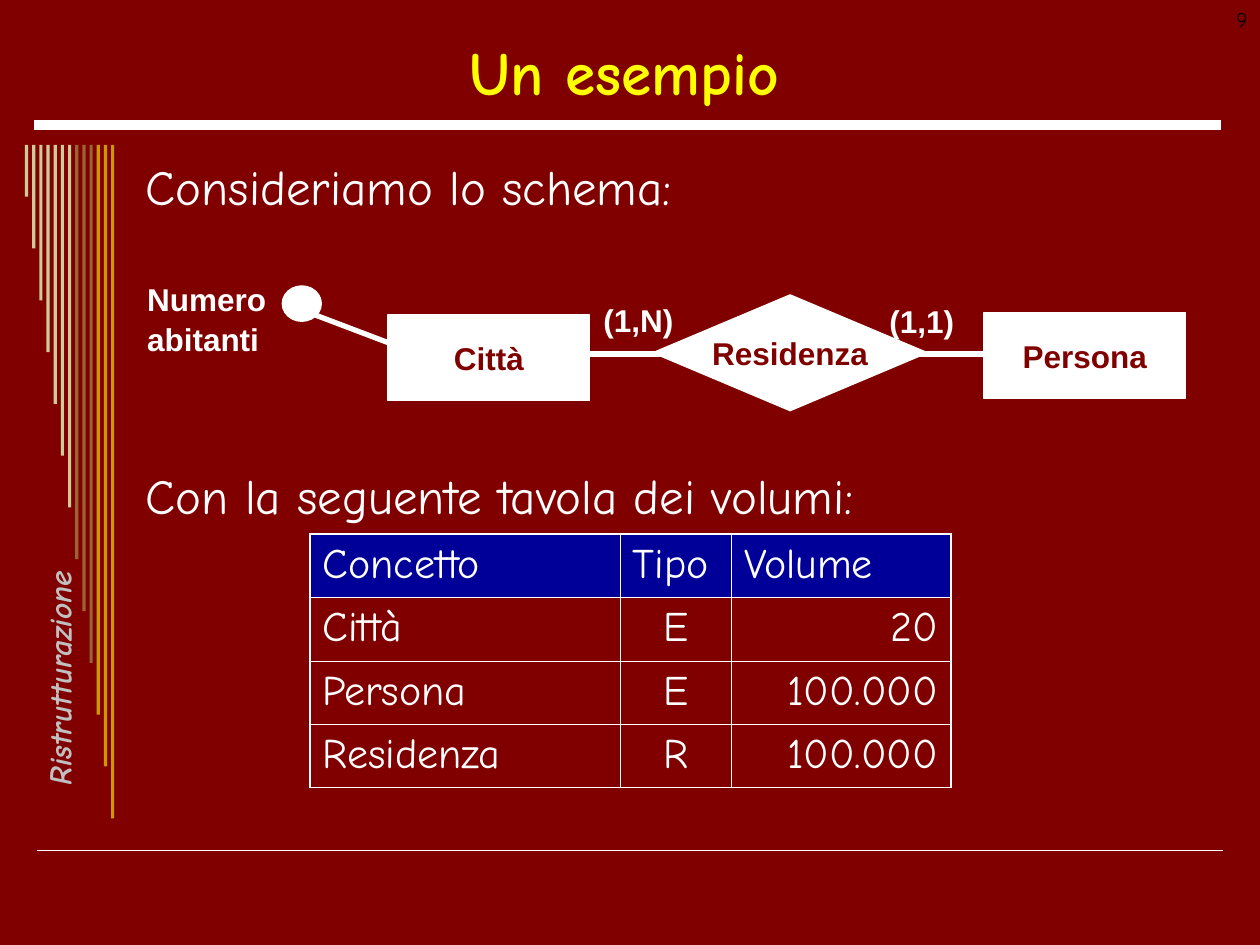
"""Build the slide on restructuring an entity-relationship schema."""
import dataclasses

import lxml.etree
import pptx
import pptx.dml.color
import pptx.enum.shapes
import pptx.enum.text
import pptx.oxml.ns
import pptx.slide
import pptx.util

Pt = pptx.util.Pt
RGB = pptx.dml.color.RGBColor
Kind = pptx.enum.shapes.MSO_SHAPE
Align = pptx.enum.text.PP_ALIGN
Anchor = pptx.enum.text.MSO_ANCHOR
qn = pptx.oxml.ns.qn

MAROON = RGB(0x80, 0x00, 0x00)
WHITE = RGB(0xFF, 0xFF, 0xFF)
YELLOW = RGB(0xFF, 0xFF, 0x00)
BLACK = RGB(0x00, 0x00, 0x00)
SILVER = RGB(0xC0, 0xC0, 0xC0)
NAVY = RGB(0x00, 0x00, 0x99)
SAND = RGB(0xCC, 0xCC, 0x99)
BROWN = RGB(0x99, 0x66, 0x33)
GOLD = RGB(0xCC, 0x99, 0x00)
COMIC = "Comic Neue"
ARIAL = "Arial"


@dataclasses.dataclass(frozen=True)
class Label:
    text: str
    left: float
    top: float
    width: float
    height: float
    size: float
    font: str = COMIC
    color: RGB = WHITE
    bold: bool = False
    slant: bool = False
    align: Align = Align.LEFT
    anchor: Anchor = Anchor.TOP
    turn: float = 0
    lead: float = 1


@dataclasses.dataclass(frozen=True)
class Node:
    kind: Kind
    left: float
    top: float
    width: float
    height: float
    text: str = ""


@dataclasses.dataclass(frozen=True)
class Line:
    start: tuple[float, float]
    end: tuple[float, float]
    weight: float


RULES = [Line((20.9, 486), (699.1, 486), 1), Line((19.4, 71.3), (697.7, 71.3), 6)]
LINKS = [Line((335.5, 202.3), (572.4, 202.3), 3), Line((176.4, 178.6), (229.7, 198.8), 3)]
BARS = [SAND] * 7 + [BROWN] * 3 + [GOLD] * 3
NODES = [
    Node(Kind.RECTANGLE, 221.8, 180, 115.2, 49, "Città"),
    Node(Kind.DIAMOND, 373, 168.5, 157, 66.2, "Residenza"),
    Node(Kind.RECTANGLE, 562.3, 178.6, 115.2, 49, "Persona"),
    Node(Kind.OVAL, 161.3, 163.4, 22.3, 20.2),
]
LABELS = [
    Label("Ristrutturazione", -54, 378.7, 164.2, 17.3, 18, color=SILVER, bold=True,
          slant=True, align=Align.CENTER, turn=270),
    Label("Un esempio", 25.2, 15.1, 663.1, 51.1, 35, color=YELLOW, bold=True,
          align=Align.CENTER, anchor=Anchor.MIDDLE),
    Label("Consideriamo lo schema:", 76.3, 86.1, 613.4, 40, 28),
    Label("Con la seguente tavola dei volumi:", 76.3, 262.7, 613.4, 40, 28),
    Label("(1,N)", 337.7, 168.5, 56.9, 28.8, 18, ARIAL, bold=True),
    Label("(1,1)", 501.1, 169, 56.9, 28.8, 18, ARIAL, bold=True),
    Label("Numero\vabitanti", 77, 155.5, 157, 50.4, 18, ARIAL, bold=True, lead=1.05),
    Label("9", 552.2, 0, 167.8, 36, 12, color=BLACK, align=Align.RIGHT),
]
ROWS = [
    ("Concetto", "Tipo", "Volume"),
    ("Città", "E", "20"),
    ("Persona", "E", "100.000"),
    ("Residenza", "R", "100.000"),
]
COLS = (177.3, 63.7, 125.2)
SIDES = (Align.LEFT, Align.CENTER, Align.RIGHT)


def write(frame, text: str, font: str, size: float, color: RGB, bold: bool, align: Align):
    """Put one styled paragraph into a text frame and return it."""
    frame.text = text
    para = frame.paragraphs[0]
    para.alignment = align
    para.font.name = font
    para.font.size = Pt(size)
    para.font.color.rgb = color
    para.font.bold = bold
    return para


def draw_line(slide: pptx.slide.Slide, line: Line) -> None:
    """Draw a white line without a shadow."""
    ends = [Pt(value) for value in line.start + line.end]
    shape = slide.shapes.add_connector(pptx.enum.shapes.MSO_CONNECTOR.STRAIGHT, *ends)
    shape.line.color.rgb = WHITE
    shape.line.width = Pt(line.weight)
    props = shape._element.find(qn("p:spPr"))
    lxml.etree.SubElement(props, qn("a:effectLst"))


def draw_bars(slide: pptx.slide.Slide) -> None:
    """Draw the row of ever longer bars on the left."""
    for index, color in enumerate(BARS):
        bar = slide.shapes.add_shape(Kind.RECTANGLE, Pt(14.3 + 4.1 * index), Pt(82.8),
                                     Pt(1.8), Pt(29.6 * (index + 1)))
        bar.shadow.inherit = False
        bar.fill.solid()
        bar.fill.fore_color.rgb = color
        bar.line.fill.background()


def draw_node(slide: pptx.slide.Slide, node: Node) -> None:
    """Draw one white part of the schema."""
    shape = slide.shapes.add_shape(node.kind, Pt(node.left), Pt(node.top),
                                   Pt(node.width), Pt(node.height))
    shape.shadow.inherit = False
    shape.fill.solid()
    shape.fill.fore_color.rgb = WHITE
    shape.line.color.rgb = WHITE
    shape.line.width = Pt(0.75)
    if node.text:
        shape.text_frame.word_wrap = False
        shape.text_frame.vertical_anchor = Anchor.MIDDLE
        write(shape.text_frame, node.text, ARIAL, 18, MAROON, True, Align.CENTER)


def draw_label(slide: pptx.slide.Slide, label: Label) -> None:
    """Draw one text box."""
    box = slide.shapes.add_textbox(Pt(label.left), Pt(label.top),
                                   Pt(label.width), Pt(label.height))
    box.rotation = label.turn
    box.text_frame.word_wrap = True
    box.text_frame.vertical_anchor = label.anchor
    para = write(box.text_frame, label.text, label.font, label.size,
                 label.color, label.bold, label.align)
    para.font.italic = label.slant
    para.line_spacing = label.lead


def edge_cell(cell, row: int, col: int) -> None:
    """Give a cell white borders, thicker on the rim of the table."""
    rims = {"L": col == 0, "R": col == len(COLS) - 1,
            "T": row == 0, "B": row == len(ROWS) - 1}
    props = cell._tc.get_or_add_tcPr()
    for side, rim in rims.items():
        width = str(Pt(1.08 if rim else 0.45))
        edge = lxml.etree.SubElement(props, qn(f"a:ln{side}"), w=width)
        fill = lxml.etree.SubElement(edge, qn("a:solidFill"))
        lxml.etree.SubElement(fill, qn("a:srgbClr"), val=str(WHITE))


def draw_table(slide: pptx.slide.Slide) -> None:
    """Draw the table of volumes."""
    high = 36.2
    table = slide.shapes.add_table(len(ROWS), len(COLS), Pt(177.1), Pt(305.3),
                                   Pt(sum(COLS)), Pt(high * len(ROWS))).table
    table.first_row = table.horz_banding = False
    for col, width in enumerate(COLS):
        table.columns[col].width = Pt(width)
    for row, texts in enumerate(ROWS):
        table.rows[row].height = Pt(high)
        for col, text in enumerate(texts):
            cell = table.cell(row, col)
            edge_cell(cell, row, col)
            if row == 0:
                cell.fill.solid()
                cell.fill.fore_color.rgb = NAVY
            else:
                cell.fill.background()
            align = SIDES[col] if row else Align.LEFT
            write(cell.text_frame, text, COMIC, 24, WHITE, False, align)


def main() -> None:
    """Build and save the slide."""
    deck = pptx.Presentation()
    deck.slide_width, deck.slide_height = Pt(720), Pt(540)
    slide = deck.slides.add_slide(deck.slide_layouts[6])
    slide.background.fill.solid()
    slide.background.fill.fore_color.rgb = MAROON
    draw_bars(slide)
    for line in RULES + LINKS:
        draw_line(slide, line)
    for node in NODES:
        draw_node(slide, node)
    for label in LABELS:
        draw_label(slide, label)
    draw_table(slide)
    deck.save("out.pptx")


if __name__ == "__main__":
    main()
